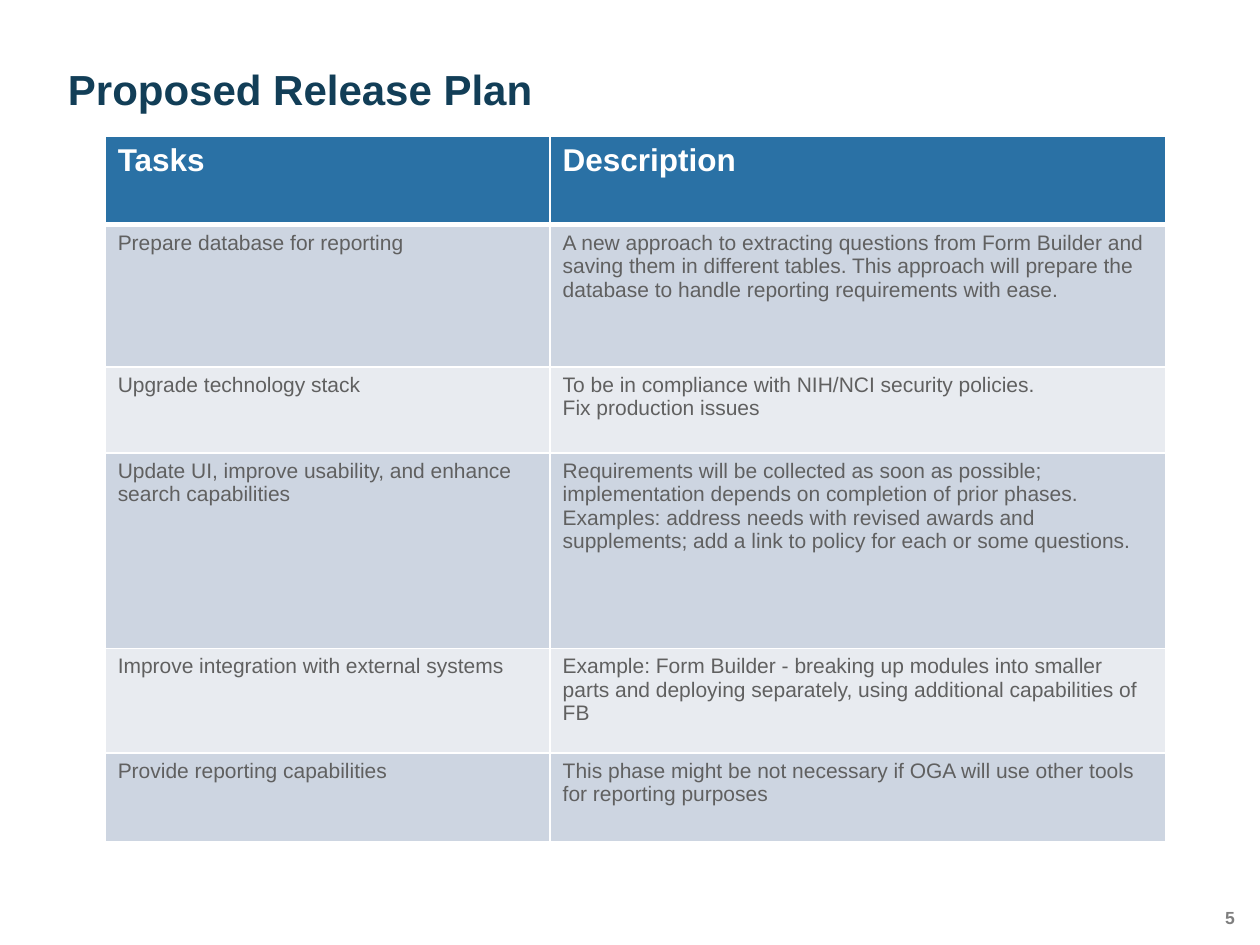
import pptx
import pptx.dml.color
import pptx.enum.text
import pptx.oxml
import pptx.oxml.ns
import pptx.util
from dataclasses import dataclass

Cm = pptx.util.Cm
Pt = pptx.util.Pt
ALIGN = pptx.enum.text.PP_ALIGN
ANCHOR = pptx.enum.text.MSO_ANCHOR


@dataclass(frozen=True)
class Theme:
    font: str = "Arial"
    title: str = "123E57"
    header: str = "2A71A5"
    bands: tuple = ("CDD5E1", "E8EBF0")
    body: str = "606060"
    muted: str = "7F7F7F"
    white: str = "FFFFFF"
    title_size: int = 24
    header_size: int = 18
    body_size: int = 12
    number_size: int = 10
    rule: int = 1
    header_rule: int = 3


THEME = Theme()

TITLE = "Proposed Release Plan"
PAGE_NUMBER = "5"
HEADER = ("Tasks", "Description")
# Each task is paired with the paragraphs of its description.
PLAN = [
    ("Prepare database for reporting",
     ["A new approach to extracting questions from Form Builder and saving them in "
      "different tables. This approach will prepare the database to handle reporting "
      "requirements with ease."]),
    ("Upgrade technology stack",
     ["To be in compliance with NIH/NCI security policies.",
      "Fix production issues"]),
    ("Update UI, improve usability, and enhance search capabilities",
     ["Requirements will be collected as soon as possible; implementation depends on "
      "completion of prior phases.",
      "Examples: address needs with revised awards and supplements; add a link to "
      "policy for each or some questions."]),
    ("Improve integration with external systems",
     ["Example: Form Builder - breaking up modules into smaller parts and deploying "
      "separately, using additional capabilities of FB"]),
    ("Provide reporting capabilities",
     ["This phase might be not necessary if OGA will use other tools for reporting "
      "purposes"]),
]

TABLE_LEFT, TABLE_TOP = 2.12, 2.75
COLUMN_WIDTHS = (8.97, 12.4)
ROW_HEIGHTS = (1.78, 2.87, 1.73, 3.94, 2.11, 1.78)


def write(tf, paragraphs, *, size, color, bold=False, align=ALIGN.LEFT, spacing=None):
    """Fill a text frame with one formatted run per paragraph."""
    tf.word_wrap = True
    for i, text in enumerate(paragraphs):
        p = tf.paragraphs[0] if i == 0 else tf.add_paragraph()
        p.alignment = align
        if spacing:
            p.line_spacing = spacing
        r = p.add_run()
        r.text = text
        r.font.name = THEME.font
        r.font.size = Pt(size)
        r.font.bold = bold
        r.font.color.rgb = pptx.dml.color.RGBColor.from_string(color)


def clear_margins(tf):
    tf.margin_left = tf.margin_right = tf.margin_top = tf.margin_bottom = 0


def place(shape, left, top, width, height):
    shape.left, shape.top = Cm(left), Cm(top)
    shape.width, shape.height = Cm(width), Cm(height)


def set_borders(cell, **widths):
    """Draw white cell borders; widths are in points, in the order L, R, T, B."""
    tcPr = cell._tc.get_or_add_tcPr()
    for i, (side, width) in enumerate(widths.items()):
        tcPr.insert(i, pptx.oxml.parse_xml(
            f'<a:ln{side} {pptx.oxml.ns.nsdecls("a")} w="{Pt(width)}">'
            f'<a:solidFill><a:srgbClr val="{THEME.white}"/></a:solidFill></a:ln{side}>'))


def add_title(s):
    title = s.shapes.title
    place(title, 1.37, 1.14, 22.68, 1.17)
    tf = title.text_frame
    clear_margins(tf)
    tf.auto_size = pptx.enum.text.MSO_AUTO_SIZE.NONE
    tf.vertical_anchor = ANCHOR.BOTTOM
    write(tf, [TITLE], size=THEME.title_size, color=THEME.title, bold=True, spacing=0.9)


def add_plan_table(s):
    rows = [[[text] for text in HEADER]] + [[[task], lines] for task, lines in PLAN]
    table = s.shapes.add_table(
        len(rows), len(HEADER), Cm(TABLE_LEFT), Cm(TABLE_TOP),
        Cm(sum(COLUMN_WIDTHS)), Cm(sum(ROW_HEIGHTS))).table
    for column, width in zip(table.columns, COLUMN_WIDTHS):
        column.width = Cm(width)
    for row, height in zip(table.rows, ROW_HEIGHTS):
        row.height = Cm(height)

    for i, row in enumerate(rows):
        is_header = i == 0
        fill = THEME.header if is_header else THEME.bands[(i - 1) % 2]
        style = (dict(size=THEME.header_size, color=THEME.white, bold=True) if is_header
                 else dict(size=THEME.body_size, color=THEME.body))
        for j, paragraphs in enumerate(row):
            cell = table.cell(i, j)
            cell.fill.solid()
            cell.fill.fore_color.rgb = pptx.dml.color.RGBColor.from_string(fill)
            set_borders(cell, L=THEME.rule, R=THEME.rule,
                        T=THEME.header_rule if i == 1 else THEME.rule,
                        B=THEME.header_rule if is_header else THEME.rule)
            write(cell.text_frame, paragraphs, **style)


def add_page_number(s):
    box = s.shapes.add_textbox(Cm(24.03), Cm(18.29), Cm(0.86), Cm(0.51))
    clear_margins(box.text_frame)
    box.text_frame.vertical_anchor = ANCHOR.TOP
    write(box.text_frame, [PAGE_NUMBER], size=THEME.number_size, color=THEME.muted,
          bold=True, align=ALIGN.RIGHT)


def main():
    prs = pptx.Presentation()
    prs.slide_width, prs.slide_height = Cm(25.4), Cm(19.05)
    s = prs.slides.add_slide(prs.slide_layouts.get_by_name("Title Only"))
    add_title(s)
    add_plan_table(s)
    add_page_number(s)
    prs.save("out.pptx")


if __name__ == "__main__":
    main()
